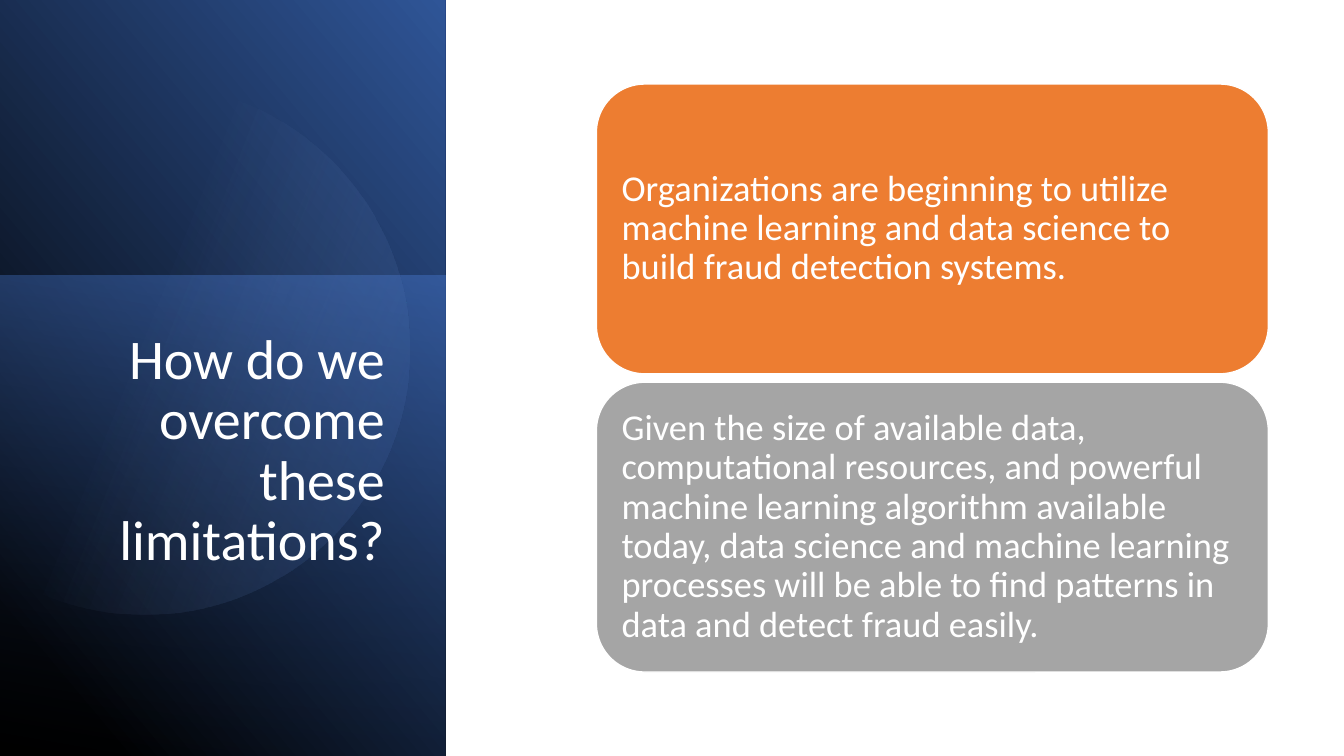
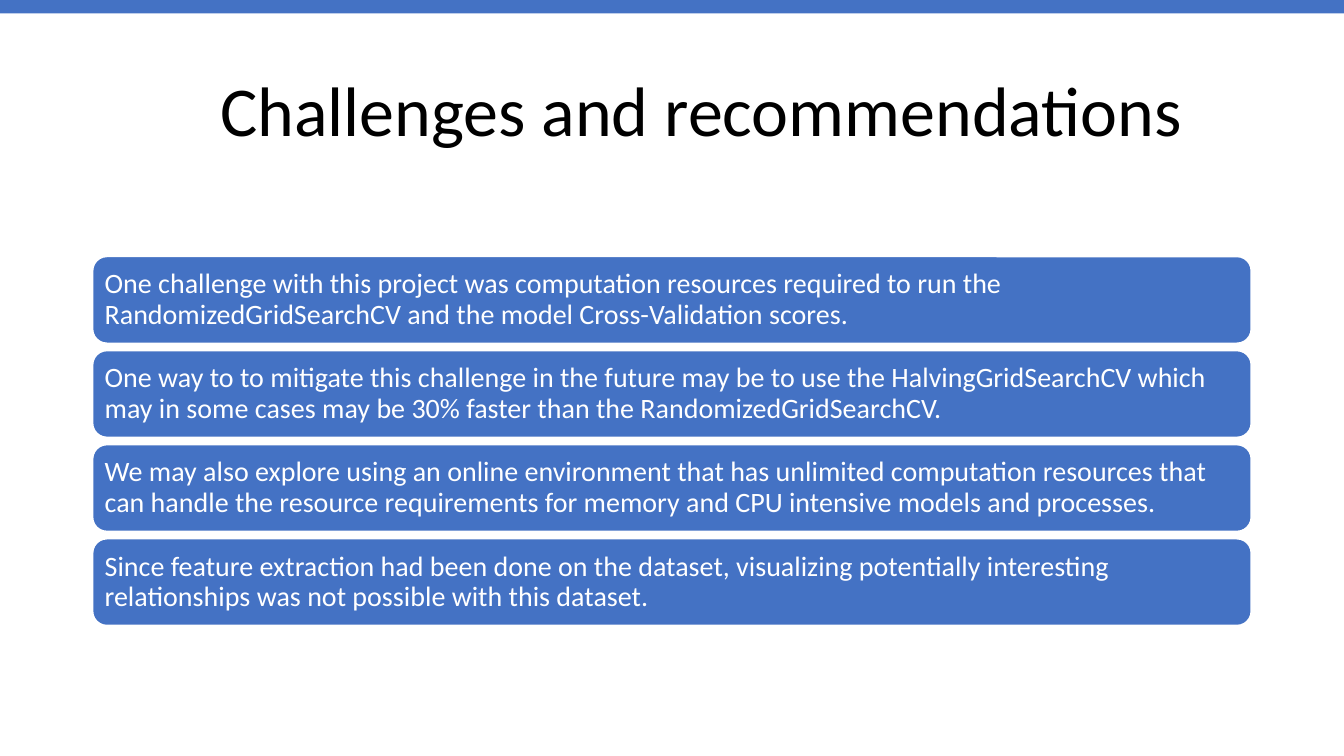
from dataclasses import dataclass
from math import acos, cos, sin

from lxml import etree
from pptx import Presentation
from pptx.dml.color import RGBColor
from pptx.enum.shapes import MSO_SHAPE
from pptx.enum.text import MSO_ANCHOR, MSO_AUTO_SIZE, PP_ALIGN
from pptx.oxml.ns import qn
from pptx.util import Inches, Pt

RECTANGLE = MSO_SHAPE.RECTANGLE
ROUNDED = MSO_SHAPE.ROUNDED_RECTANGLE
LEFT, RIGHT = PP_ALIGN.LEFT, PP_ALIGN.RIGHT
TOP, MIDDLE = MSO_ANCHOR.TOP, MSO_ANCHOR.MIDDLE
NO_AUTOFIT = MSO_AUTO_SIZE.NONE
TITLE_ONLY = 5
COLUMNS, ROWS = 80, 45


@dataclass(frozen=True)
class Theme:
    font: str = "Calibri"
    white: str = "FFFFFF"
    black: str = "000000"
    blue: str = "4472C4"
    deep_blue: str = "2F5597"
    navy: str = "203864"
    pale_blue: str = "8FAADC"
    orange: str = "ED7D31"
    gray: str = "A5A5A5"
    side_title_size: int = 40
    title_size: int = 50
    large_size: int = 26
    body_size: int = 20
    line_spacing: float = 0.9


class Deck:
    def __init__(self, theme):
        self.theme = theme
        self.presentation = Presentation()
        self.presentation.slide_height = Inches(7.5)
        self.cell = self.presentation.slide_height / ROWS
        self.presentation.slide_width = round(COLUMNS * self.cell)
        self.slide = None

    def grid(self, *cells):
        return [round(count * self.cell) for count in cells]

    def add_slide(self):
        layout = self.presentation.slide_layouts[TITLE_ONLY]
        self.slide = self.presentation.slides.add_slide(layout)

    def set_text(self, shape, text, size, color, align, anchor):
        frame = shape.text_frame
        frame.text = text
        frame.word_wrap = True
        frame.auto_size = NO_AUTOFIT
        frame.vertical_anchor = anchor
        for paragraph in frame.paragraphs:
            paragraph.alignment = align
            paragraph.line_spacing = self.theme.line_spacing
            for run in paragraph.runs:
                run.font.name = self.theme.font
                run.font.size = Pt(size)
                run.font.color.rgb = RGBColor.from_string(color)

    def title(self, text, box, size, color, align, anchor):
        title = self.slide.shapes.title
        title.left, title.top, title.width, title.height = self.grid(*box)
        self.set_text(title, text, size, color, align, anchor)
        title.element.getparent().append(title.element)

    def block(self, box, color=None, kind=RECTANGLE):
        shape = self.slide.shapes.add_shape(kind, *self.grid(*box))
        shape.shadow.inherit = False
        shape.line.fill.background()
        if color:
            shape.fill.solid()
            shape.fill.fore_color.rgb = RGBColor.from_string(color)
        return shape

    def gradient(self, shape, angle, stops):
        shape.fill.gradient()
        shape.fill.gradient_angle = angle
        for stop, (position, color, _) in zip(shape.fill.gradient_stops, stops):
            stop.position = position
            stop.color.rgb = RGBColor.from_string(color)
        colors = shape.element.spPr.iter(qn("a:srgbClr"))
        for color, (_, _, opacity) in zip(colors, stops):
            alpha = etree.SubElement(color, qn("a:alpha"))
            alpha.set("val", str(round(opacity * 100000)))

    def panel(self, box, angle, stops):
        self.gradient(self.block(box), angle, stops)

    def clipped_circle(self, center_x, center_y, radius, angle, stops, steps=120):
        limit = acos(-center_x / radius)
        turns = [limit * (2 * step / steps - 1) for step in range(steps + 1)]
        points = [
            self.grid(center_x + radius * cos(turn), center_y + radius * sin(turn))
            for turn in turns
        ]
        builder = self.slide.shapes.build_freeform(*points[0])
        builder.add_line_segments(points[1:], close=True)
        shape = builder.convert_to_shape()
        shape.shadow.inherit = False
        shape.line.fill.background()
        self.gradient(shape, angle, stops)

    def card_stack(self, box, gap, cards, size, inset, outline):
        left, top, width, height = box
        card_height = (height - gap * (len(cards) - 1)) / len(cards)
        for index, (text, color) in enumerate(cards):
            card_top = top + index * (card_height + gap)
            card = self.block((left, card_top, width, card_height), color, ROUNDED)
            card.line.color.rgb = RGBColor.from_string(self.theme.white)
            card.line.width = Pt(outline)
            frame = card.text_frame
            frame.margin_left = frame.margin_right = Inches(inset)
            frame.margin_top = frame.margin_bottom = Inches(inset)
            self.set_text(card, text, size, self.theme.white, LEFT, MIDDLE)


def build_limitations(deck):
    theme = deck.theme
    deck.add_slide()
    deck.panel((0, 0, 26.5, ROWS), 40,
               [(0.11, theme.black, 1), (1, theme.deep_blue, 1)])
    deck.panel((0, 16.4, 26.5, ROWS - 16.4), 260,
               [(0, theme.blue, 0.5), (1, theme.navy, 0)])
    deck.clipped_circle(8.6, 20.8, 15.8, 338.4,
                        [(0.39, theme.pale_blue, 0), (1, theme.deep_blue, 0.26)])
    deck.title("How do we overcome these limitations?", (3.5, 19.4, 20, 23.2),
               theme.side_title_size, theme.white, RIGHT, TOP)
    cards = [
        ("Organizations are beginning to utilize machine learning and data "
         "science to build fraud detection systems.", theme.orange),
        ("Given the size of available data, computational resources, and "
         "powerful machine learning algorithm available today, data science "
         "and machine learning processes will be able to find patterns in "
         "data and detect fraud easily.", theme.gray),
    ]
    deck.card_stack((35.5, 5, 40, 35), 0.5, cards, theme.large_size, 0.11, 1)


def build_challenges(deck):
    theme = deck.theme
    deck.add_slide()
    deck.title("Challenges and recommendations", (12.5, 2.4, 62, 8.7),
               theme.title_size, theme.black, LEFT, MIDDLE)
    deck.block((0, 0, COLUMNS, 0.8), theme.blue)
    texts = [
        "One challenge with this project was computation resources required "
        "to run the RandomizedGridSearchCV and the model Cross-Validation scores.",
        "One way to to mitigate this challenge in the future may be to use the "
        "HalvingGridSearchCV which may in some cases may be 30% faster than "
        "the RandomizedGridSearchCV.",
        "We may also explore using an online environment that has unlimited "
        "computation resources that can handle the resource requirements for "
        "memory and CPU intensive models and processes.",
        "Since feature extraction had been done on the dataset, visualizing "
        "potentially interesting relationships was not possible with this dataset.",
    ]
    cards = [(text, theme.blue) for text in texts]
    deck.card_stack((5.5, 15.25, 69, 22), 0.4, cards, theme.body_size, 0.08, 1.5)


def main():
    deck = Deck(Theme())
    build_limitations(deck)
    build_challenges(deck)
    deck.presentation.save("out.pptx")


if __name__ == "__main__":
    main()
